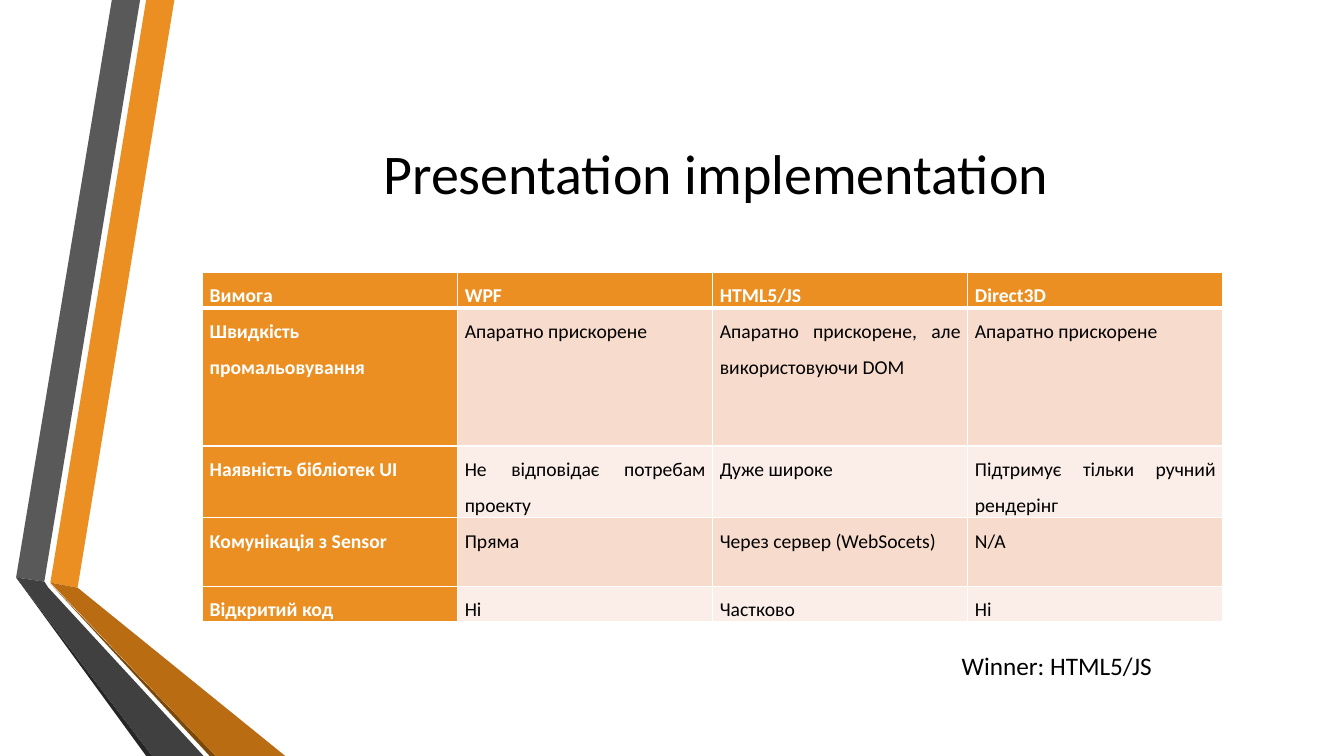
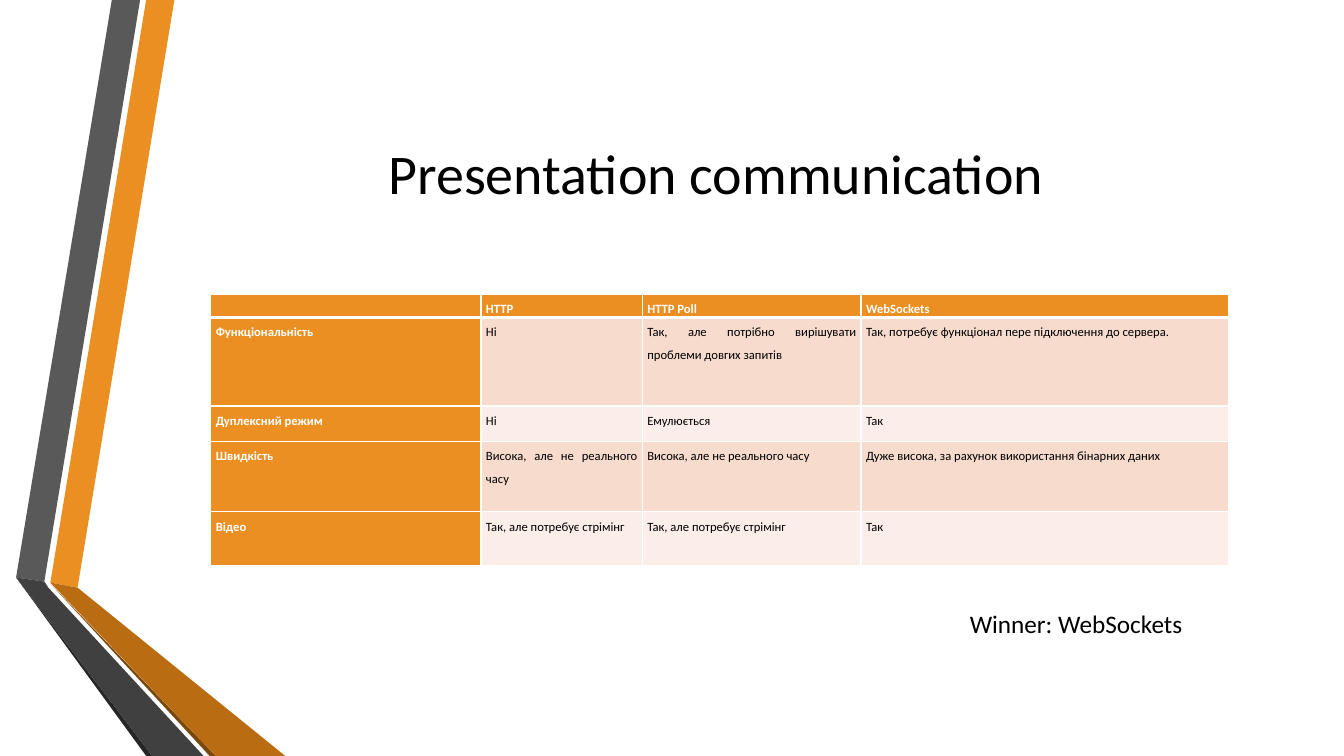
import dataclasses
import lxml.etree
import pptx
import pptx.dml.color
import pptx.enum.text
import pptx.oxml.ns
import pptx.util

Inches = pptx.util.Inches
Pt = pptx.util.Pt
Color = pptx.dml.color.RGBColor.from_string


@dataclasses.dataclass(frozen=True)
class Theme:
    font: str = "Calibri"
    title_size: int = 40
    winner_size: int = 18
    text: str = "000000"
    white: str = "FFFFFF"
    orange: str = "EB8F22"
    orange_dark: str = "B96C11"
    orange_shadow: str = "7B480B"
    gray: str = "595959"
    gray_dark: str = "404040"
    gray_shadow: str = "262626"
    bands: tuple = ("F7DBCD", "FBEEE8")
    border: int = 1
    header_border: int = 3


theme = Theme()

ribbons = [
    (theme.orange, [(0.5, 5.78), (0.77, 5.83), (1.73, 0), (1.45, 0)]),
    (theme.gray, [(1.39, 0), (1.11, 0), (0.16, 5.73), (0.44, 5.77)]),
    (theme.gray_shadow, [(0.16, 5.73), (1.45, 7.5), (1.51, 7.5)]),
    (theme.orange_shadow, [(0.5, 5.79), (2.08, 7.5), (2.14, 7.5)]),
    (theme.orange_dark, [(0.5, 5.78), (2.14, 7.5), (2.83, 7.5), (0.77, 5.83)]),
    (theme.gray_dark, [(2.02, 7.5), (0.48, 5.83), (0.44, 5.77), (0.16, 5.73), (1.51, 7.5)]),
]

comparisons = [
    {
        "title": "Presentation implementation",
        "winner": "Winner: HTML5/JS",
        "winner_at": (9.44, 6.4),
        "table_at": (2.01, 2.7),
        "columns": [2.53] * 4,
        "rows": [0.34, 1.37, 0.68, 0.68, 0.34],
        "size": 14,
        "inset": 0.07,
        "cells": [
            ["Вимога", "WPF", "HTML5/JS", "Direct3D"],
            ["Швидкість промальовування", "Апаратно прискорене",
             "Апаратно прискорене, але використовуючи DOM", "Апаратно прискорене"],
            ["Наявність бібліотек UI", "Не відповідає потребам проекту",
             "Дуже широке", "Підтримує тільки ручний рендерінг"],
            ["Комунікація з Sensor", "Пряма", "Через сервер (WebSocets)", "N/A"],
            ["Відкритий код", "Ні", "Частково", "Ні"],
        ],
    },
    {
        "title": "Presentation communication",
        "winner": "Winner: WebSockets",
        "winner_at": (9.52, 5.99),
        "table_at": (2.09, 2.92),
        "columns": [2.68, 1.6, 2.17, 3.65],
        "rows": [0.18, 0.88, 0.35, 0.7, 0.53],
        "size": 9,
        "inset": 0.05,
        "cells": [
            ["", "HTTP", "HTTP Poll", "WebSockets"],
            ["Функціональність", "Ні",
             "Так, але потрібно вирішувати проблеми довгих запитів",
             "Так, потребує функціонал пере підключення до сервера."],
            ["Дуплексний режим", "Ні", "Емулюється", "Так"],
            ["Швидкість", "Висока, але не реального часу",
             "Висока, але не реального часу",
             "Дуже висока, за рахунок використання бінарних даних"],
            ["Відео", "Так, але потребує стрімінг", "Так, але потребує стрімінг", "Так"],
        ],
    },
]


def style_paragraph(paragraph, size, color, bold=False):
    paragraph.font.name = theme.font
    paragraph.font.size = Pt(size)
    paragraph.font.bold = bold
    paragraph.font.color.rgb = Color(color)


def set_borders(cell, widths):
    qn = pptx.oxml.ns.qn
    properties = cell._tc.get_or_add_tcPr()
    for position, (side, width) in enumerate(widths.items()):
        line = lxml.etree.Element(qn(f"a:ln{side}"), w=str(Pt(width)))
        fill = lxml.etree.SubElement(line, qn("a:solidFill"))
        lxml.etree.SubElement(fill, qn("a:srgbClr"), val=theme.white)
        properties.insert(position, line)


presentation = pptx.Presentation()
presentation.slide_width = Inches(13.33)
presentation.slide_height = Inches(7.5)
layout = presentation.slide_layouts[5]

for comparison in comparisons:
    slide = presentation.slides.add_slide(layout)

    if comparison is comparisons[0]:
        for position, (color, points) in enumerate(ribbons, start=2):
            corners = [(Inches(x), Inches(y)) for x, y in points]
            builder = slide.shapes.build_freeform(*corners[0])
            builder.add_line_segments(corners[1:], close=True)
            ribbon = builder.convert_to_shape()
            ribbon.shadow.inherit = False
            ribbon.fill.solid()
            ribbon.fill.fore_color.rgb = Color(color)
            ribbon.line.fill.background()
            layout.shapes.element.insert(position, ribbon.element)

    title = slide.shapes.title
    title.left, title.top = Inches(1.62), Inches(0.75)
    title.width, title.height = Inches(10.96), Inches(1.92)
    title.text_frame.text = comparison["title"]
    title.text_frame.vertical_anchor = pptx.enum.text.MSO_ANCHOR.MIDDLE
    title_paragraph = title.text_frame.paragraphs[0]
    title_paragraph.alignment = pptx.enum.text.PP_ALIGN.CENTER
    style_paragraph(title_paragraph, theme.title_size, theme.text)

    columns, rows = comparison["columns"], comparison["rows"]
    left, top = comparison["table_at"]
    table = slide.shapes.add_table(
        len(rows), len(columns), Inches(left), Inches(top),
        Inches(sum(columns)), Inches(sum(rows))).table
    table.first_col = True
    for column, width in zip(table.columns, columns):
        column.width = Inches(width)
    for row, height in zip(table.rows, rows):
        row.height = Inches(height)

    for row_index, texts in enumerate(comparison["cells"]):
        for column_index, text in enumerate(texts):
            cell = table.cell(row_index, column_index)
            heading = row_index == 0 or column_index == 0
            cell.text = text
            cell.margin_left = cell.margin_right = Inches(comparison["inset"])
            cell.margin_top = cell.margin_bottom = 0
            cell.fill.solid()
            cell.fill.fore_color.rgb = Color(
                theme.orange if heading else theme.bands[(row_index - 1) % 2])
            set_borders(cell, {
                "L": theme.border,
                "R": theme.border,
                "T": theme.header_border if row_index == 1 else theme.border,
                "B": theme.header_border if row_index == 0 else theme.border,
            })
            paragraph = cell.text_frame.paragraphs[0]
            paragraph.alignment = pptx.enum.text.PP_ALIGN.JUSTIFY
            paragraph.line_spacing = 1.5
            style_paragraph(paragraph, comparison["size"],
                            theme.white if heading else theme.text, heading)

    left, top = comparison["winner_at"]
    winner = slide.shapes.add_textbox(Inches(left), Inches(top), Inches(2.68), Inches(0.4))
    winner.text_frame.word_wrap = True
    winner.text_frame.auto_size = pptx.enum.text.MSO_AUTO_SIZE.SHAPE_TO_FIT_TEXT
    winner.text_frame.text = comparison["winner"]
    style_paragraph(winner.text_frame.paragraphs[0], theme.winner_size, theme.text)

presentation.save("out.pptx")
